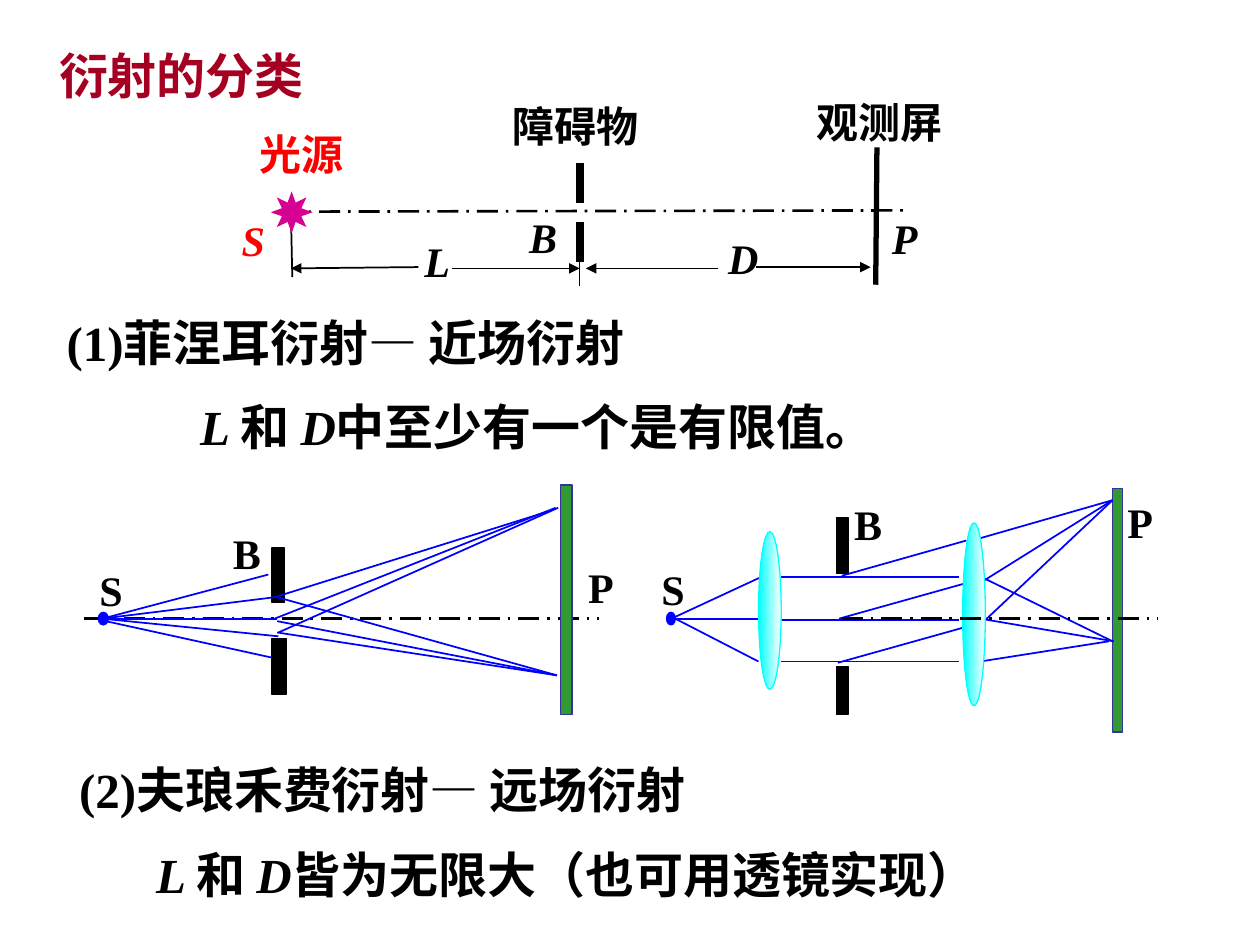
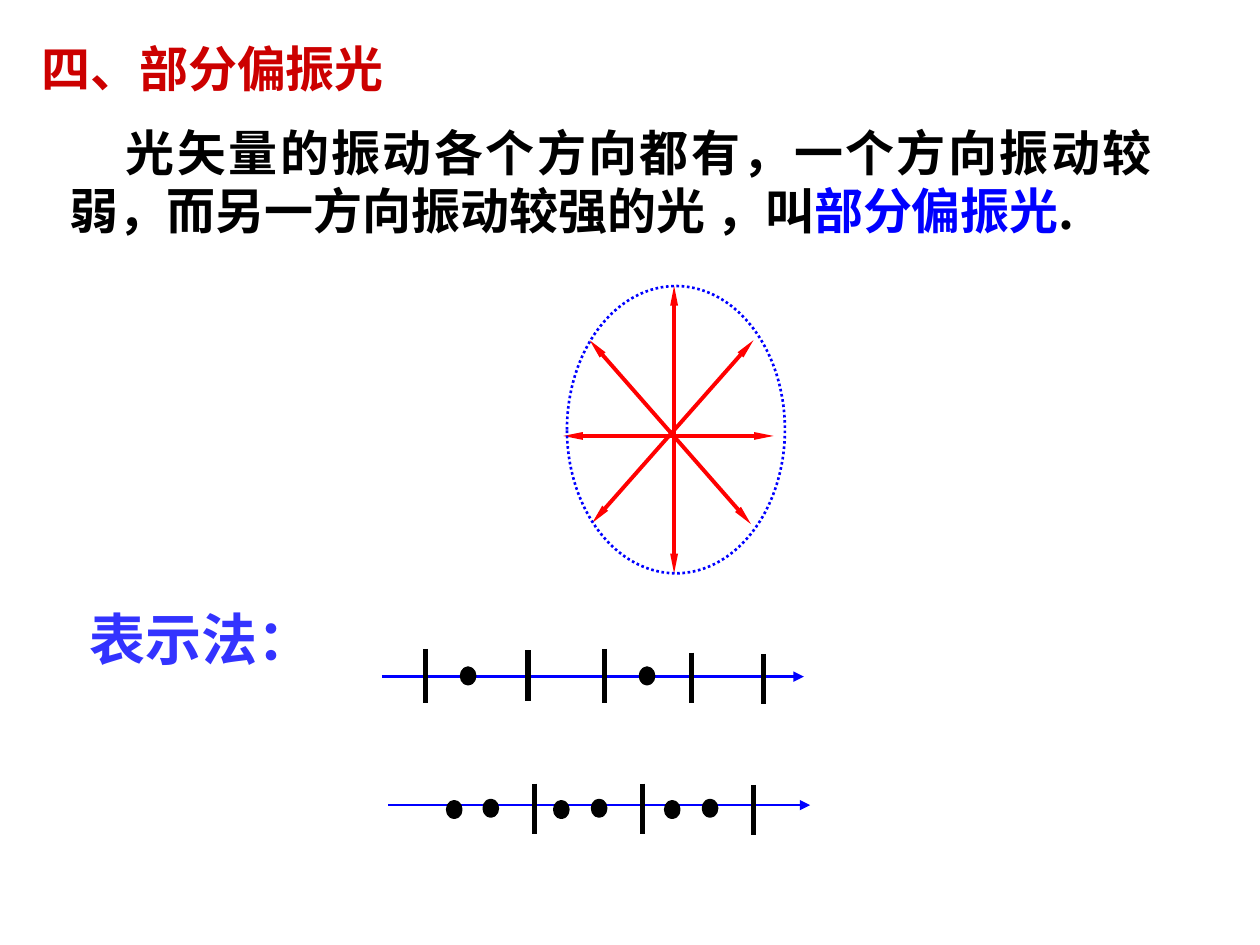
from lxml import etree
from pptx import Presentation
from pptx.dml.color import RGBColor
from pptx.enum.dml import MSO_LINE
from pptx.enum.shapes import MSO_CONNECTOR, MSO_SHAPE
from pptx.enum.text import MSO_AUTO_SIZE, PP_ALIGN
from pptx.oxml.ns import qn
from pptx.util import Pt

PX = 9144  # 100 px to the inch
STRAIGHT = MSO_CONNECTOR.STRAIGHT
RECTANGLE, ELLIPSE, SUN = MSO_SHAPE.RECTANGLE, MSO_SHAPE.OVAL, MSO_SHAPE.SUN
AXIS_DASH, DOTTED = MSO_LINE.LONG_DASH_DOT, MSO_LINE.ROUND_DOT
LEFT, CENTER, JUSTIFY = PP_ALIGN.LEFT, PP_ALIGN.CENTER, PP_ALIGN.JUSTIFY
LATIN_FONT, CHINESE_FONT = "Times New Roman", "Noto Sans CJK SC"
COLORS = {
    "black": "000000", "blue": "0000FF", "red": "FF0000", "crimson": "A50021",
    "title red": "CC0000", "violet": "3333FF", "magenta": "D60093",
    "green": "339933", "navy": "333399", "cyan": "00FFFF", "white": "FFFFFF",
}
RGB = {name: RGBColor.from_string(value) for name, value in COLORS.items()}


def add_text(slide, box, runs, size=24, color="black", italic=None, align=LEFT,
             wrap=True, indent=0, font=LATIN_FONT):
    """Add one bold paragraph; runs is a string or (text, italic, color) tuples."""
    shape = slide.shapes.add_textbox(*(value * PX for value in box))
    frame = shape.text_frame
    frame.word_wrap = wrap
    frame.auto_size = MSO_AUTO_SIZE.NONE
    frame.margin_top = 5 * PX
    paragraph = frame.paragraphs[0]
    paragraph.alignment = align
    paragraph.line_spacing = Pt(round(size * 1.2, 1))
    if indent:
        paragraph._p.get_or_add_pPr().set("indent", str(indent * PX))
    paragraph.font.name = font
    paragraph.font.size = Pt(size)
    paragraph.font.bold = True
    paragraph.font.color.rgb = RGB[color]
    if isinstance(runs, str):
        runs = [(runs, italic, None)]
    for text, run_italic, run_color in runs:
        run = paragraph.add_run()
        run.text = text
        if run_italic is not None:
            run.font.italic = run_italic
        if run_color:
            run.font.color.rgb = RGB[run_color]
        properties = run._r.get_or_add_rPr()
        etree.SubElement(properties, qn("a:ea")).set("typeface", CHINESE_FONT)


def draw(slide, kind, box, color="black", width=1, dash=None, fill=None,
         arrows=(), arrow_width="med", arrow_length="med"):
    """Draw a line (box is x1, y1, x2, y2) or a shape (left, top, width, height)."""
    lengths = [value * PX for value in box]
    is_line = kind is STRAIGHT  # equal in number to RECTANGLE, so compare identity
    if is_line:
        shape = slide.shapes.add_connector(kind, *lengths)
    else:
        shape = slide.shapes.add_shape(kind, *lengths)
        shape.shadow.inherit = False
        if fill == "lens":
            shape.fill.gradient()
            shape.fill.gradient_angle = 0
            for stop, name, position in zip(shape.fill.gradient_stops, ("cyan", "white"), (0, 1)):
                stop.color.rgb = RGB[name]
                stop.position = position
        elif fill:
            shape.fill.solid()
            shape.fill.fore_color.rgb = RGB[fill]
        else:
            shape.fill.background()
    shape.line.color.rgb = RGB[color]
    shape.line.width = Pt(width)
    if dash:
        shape.line.dash_style = dash
    if is_line:
        properties = shape._element.spPr
        for end in arrows:
            arrow = etree.SubElement(properties.find(qn("a:ln")), qn("a:" + end))
            arrow.set("type", "triangle")
            arrow.set("w", arrow_width)
            arrow.set("len", arrow_length)
        etree.SubElement(properties, qn("a:effectLst"))
    return shape


presentation = Presentation()
presentation.slide_width = 1000 * PX
presentation.slide_height = 750 * PX
blank = presentation.slide_layouts[6]

# Slide 1: kinds of diffraction
slide = presentation.slides.add_slide(blank)
add_text(slide, (37, 31, 215, 57), "衍射的分类", 28, "crimson", wrap=False)

# Source, obstacle and screen
for box, label, color in [
    ((179, 97, 121, 50), "光源", "red"),
    ((385, 75, 144, 50), "障碍物", "black"),
    ((618, 72, 160, 50), "观测屏", "black"),
]:
    add_text(slide, box, label, color=color, align=CENTER)
draw(slide, STRAIGHT, (222, 168, 717, 167), width=1.5, dash=AXIS_DASH)
for box, width in [
    ((231, 173, 232, 220), 1),
    ((460, 129, 460, 161), 4.5),
    ((460, 176, 460, 208), 4.5),
    ((460, 206, 460, 227), 1),
    ((696, 117, 695, 226), 3),
]:
    draw(slide, STRAIGHT, box, width=width)
for distance_arrow in [(359, 213, 460, 213), (332, 212, 231, 213),
                       (600, 212, 691, 212), (570, 213, 465, 213)]:
    draw(slide, STRAIGHT, distance_arrow, arrows=["tailEnd"])
for left, top, width, letter, color in [
    (182, 165, 41, "S", "red"),
    (698, 164, 42, "P", "black"),
    (568, 180, 44, "D", "black"),
    (327, 182, 35, "L", "black"),
    (410, 163, 41, "B", "black"),
]:
    add_text(slide, (left, top, width, 50), letter, color=color, italic=True)
star = draw(slide, SUN, (218, 155, 27, 27), "magenta", 1.5, fill="magenta")
star.adjustments[0] = 0.25
star_line = star._element.spPr.find(qn("a:ln"))
etree.SubElement(star_line, qn("a:miter")).set("lim", "800000")

# Headings and conditions of the two kinds
for box, heading in [
    ((43, 243, 521, 57), "(1)菲涅耳衍射— 近场衍射"),
    ((53, 598, 602, 57), "(2)夫琅禾费衍射— 远场衍射"),
]:
    add_text(slide, box, heading, 28)
for box, condition in [
    ((149, 310, 578, 57), "中至少有一个是有限值。"),
    ((114, 665, 782, 57), "皆为无限大（也可用透镜实现）"),
]:
    add_text(slide, box, [("L ", True, None), ("和 ", False, None),
                          ("D", True, None), (condition, False, None)], 28)

# Near field on the left, far field on the right: obstacles, screens, sources
for box in [(216, 435, 10, 43), (216, 507, 11, 44), (664, 411, 9, 44), (664, 529, 9, 38)]:
    draw(slide, RECTANGLE, box, width=0.75, fill="black")
draw(slide, STRAIGHT, (67, 491, 475, 491), width=1.5, dash=AXIS_DASH)
for box in [(445, 385, 9, 182), (883, 388, 8, 193)]:
    draw(slide, RECTANGLE, box, "navy", 0.75, fill="green")
for box in [(78, 486, 8, 10), (529, 486, 7, 10)]:
    draw(slide, ELLIPSE, box, "blue", 0.75, fill="blue")

near_rays = [
    (85, 490, 213, 456), (81, 491, 218, 474), (84, 491, 220, 491),
    (81, 491, 221, 505), (84, 493, 216, 522),
    (218, 474, 438, 405), (218, 491, 441, 403), (221, 502, 443, 403),
]
near_rays += [(220, y, 442, 536) for y in (474, 493, 502)]
far_rays = [
    (535, 490, 604, 458), (534, 491, 602, 491), (534, 490, 602, 525),
    (668, 457, 767, 429), (666, 491, 766, 463), (665, 526, 765, 498),
    (777, 457, 883, 509), (778, 491, 884, 509), (778, 525, 880, 509),
]
far_rays += [(620, y, 761, y) for y in (458, 492, 525)]
far_rays += [(x, y, 883, 397) for x, y in ((775, 428), (779, 462), (780, 494))]
for ray in near_rays + far_rays:
    draw(slide, STRAIGHT, ray, "blue")
for lens in [(764, 415, 18, 145), (602, 422, 18, 125)]:
    draw(slide, ELLIPSE, lens, "cyan", 0.75, fill="lens")
draw(slide, STRAIGHT, (668, 491, 919, 491), width=1.5, dash=AXIS_DASH)
for box, letter in [
    ((69, 443, 31, 39), "S"), ((175, 414, 36, 33), "B"), ((457, 441, 35, 39), "P"),
    ((515, 442, 34, 36), "S"), ((668, 391, 37, 37), "B"), ((885, 389, 37, 36), "P"),
]:
    add_text(slide, box, letter)

# Slide 2: partially polarised light
slide = presentation.slides.add_slide(blank)
add_text(slide, (23, 26, 294, 57), "四、部分偏振光", 28, "title red", wrap=False)
add_text(slide, (45, 92, 879, 104), [
    ("光矢量的振动各个方向都有，一个方向振动较弱，而另一方向振动较强的光 ，叫", None, None),
    ("部分偏振光", None, "blue"),
    (".", None, None),
], 28, align=JUSTIFY, indent=45, font=CHINESE_FONT)

# Vibration directions
for vibration in [(447, 346, 614, 346), (535, 227, 535, 455),
                  (470, 415, 598, 270), (596, 416, 468, 270)]:
    draw(slide, STRAIGHT, vibration, "red", 2.25, arrows=["headEnd", "tailEnd"],
         arrow_width="sm", arrow_length="lg")
draw(slide, ELLIPSE, (450, 227, 173, 228), "blue", 1.5, DOTTED)

# Notation: bars vibrate in the plane, dots across it
add_text(slide, (61, 475, 207, 63), "表示法：", 32, "violet")
for beam, bars, dots in [
    ((303, 537, 638, 537),
     [(338, 515, 558), (419, 516, 556), (480, 515, 558), (549, 518, 558), (606, 519, 559)],
     [(367, 531), (509, 531)]),
    ((308, 639, 643, 639),
     [(424, 622, 662), (510, 622, 662), (598, 623, 663)],
     [(356, 637), (385, 636), (441, 637), (471, 636), (529, 637), (559, 636)]),
]:
    draw(slide, STRAIGHT, beam, "blue", 1.5, arrows=["tailEnd"])
    for x, top, bottom in bars:
        draw(slide, STRAIGHT, (x, top, x, bottom), width=3)
    for left, top in dots:
        draw(slide, ELLIPSE, (left, top, 9, 11), width=3, fill="black")

presentation.save("out.pptx")
